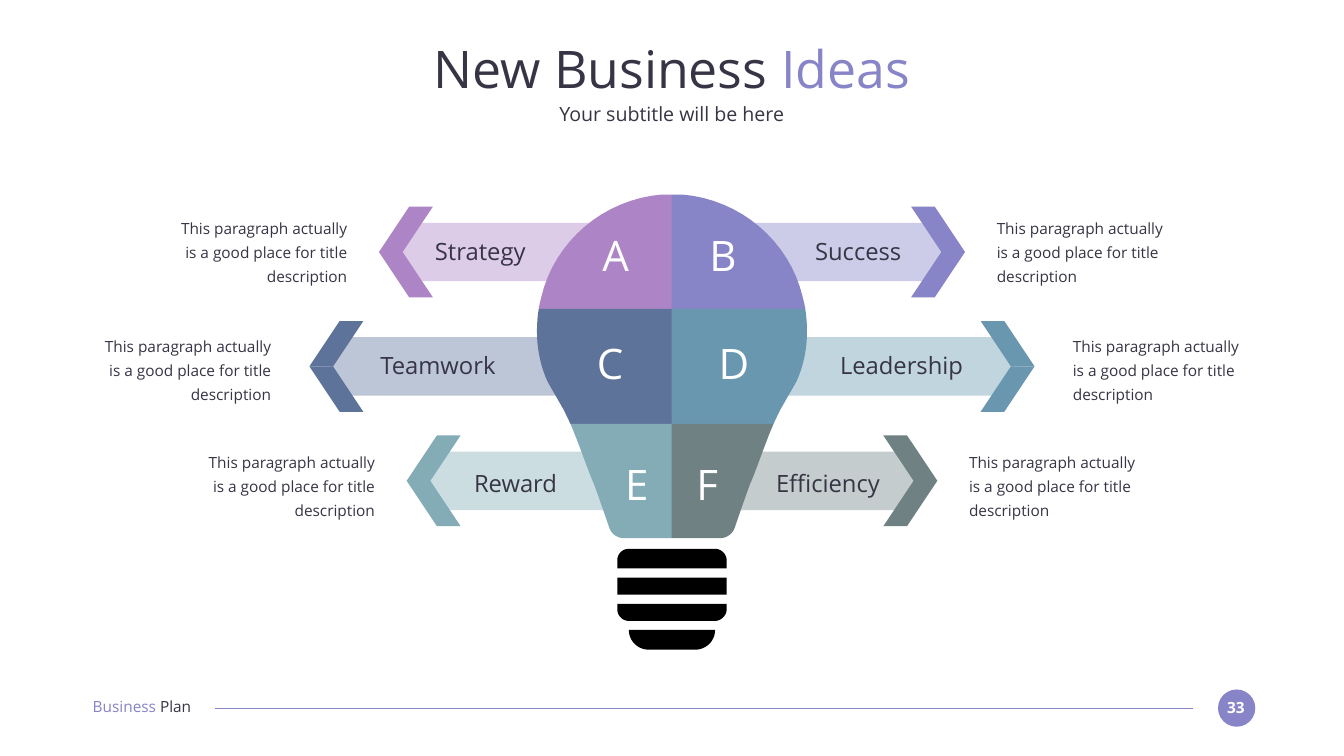
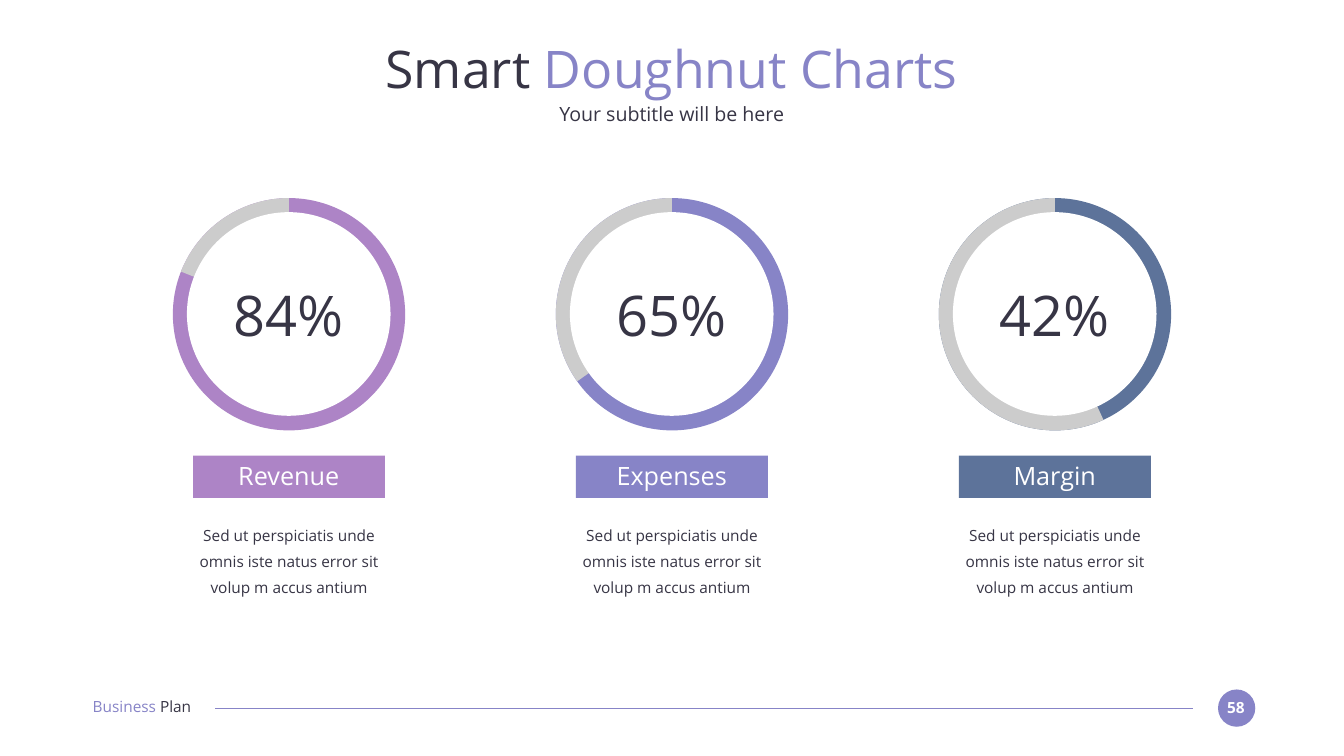
"""Build two business plan slides: a light bulb of ideas and three doughnut rings."""
from lxml.etree import SubElement
from pptx import Presentation
from pptx.dml.color import RGBColor
from pptx.enum.shapes import MSO_CONNECTOR, MSO_SHAPE
from pptx.enum.text import PP_ALIGN
from pptx.oxml.ns import qn
from pptx.util import Emu, Pt

PX = 9144
WIDTH, HEIGHT = 2667, 1500
AXIS = 1333
FONT = "Open Sans"
COLORS = {
    "ink": "373545", "white": "FFFFFF", "black": "000000", "grey": "CCCCCC",
    "purple": "AD84C6", "violet": "8784C7", "navy": "5D739A",
    "blue": "6997AF", "teal": "84ACB6", "slate": "6F8183",
    "pale purple": "DDCCE8", "pale violet": "CDCCE8", "pale navy": "BDC6D6",
    "pale blue": "C1D5DF", "pale teal": "CCDDE1", "pale slate": "C4CCCD",
}
SUBTITLE = "Your subtitle will be here"
FOOTER = [("Business ", "violet"), ("Plan", "ink")]

IDEAS_TITLE = [("New Business ", "ink"), ("Ideas", "violet")]
IDEA_NOTE = "This paragraph actually is a good place for title description"
IDEA_ROWS = [
    {"middle": 500, "tip": 1915, "inner": 1397, "note": (1978, 423),
     "letter_top": 455, "label_top": 470, "label_width": 268,
     "left": ("A", 1168, "Strategy", 819, "purple"),
     "right": ("B", 1381, "Success", 1569, "violet")},
    {"middle": 727, "tip": 2053, "inner": 1397, "note": (2129, 658),
     "letter_top": 669, "label_top": 695, "label_width": 370,
     "left": ("C", 1157, "Teamwork", 684, "navy"),
     "right": ("D", 1403, "Leadership", 1604, "blue")},
    {"middle": 954, "tip": 1860, "inner": 1342, "note": (1923, 888),
     "letter_top": 909, "label_top": 930, "label_width": 268,
     "left": ("E", 1210, "Reward", 889, "teal"),
     "right": ("F", 1350, "Efficiency", 1509, "slate")},
]
BULB_RIGHT_PARTS = [
    [(AXIS, 386), (1353, 386), (1468, 395, 1567, 478, 1593, 590),
     (1595, 598, 1597, 606, 1598, 613), (AXIS, 613)],
    [(AXIS, 613), (1598, 613), (1606, 665, 1600, 715, 1580, 758), (1549, 812),
     (1545, 820, 1540, 830, 1535, 841), (AXIS, 841)],
    [(AXIS, 841), (1535, 841), (1517, 883, 1498, 940, 1489, 959),
     (1482, 977, 1468, 1018, 1458, 1047), (1454, 1059, 1442, 1068, 1428, 1068),
     (AXIS, 1068)],
]
BULB_SOCKET = [
    [(1248, 1089), (1419, 1089), (1431, 1089, 1442, 1099, 1442, 1112), (1442, 1128),
     (1225, 1128), (1225, 1112), (1225, 1099, 1235, 1089, 1248, 1089)],
    [(1225, 1146), (1442, 1146), (1442, 1180), (1225, 1180)],
    [(1225, 1198), (1442, 1198), (1442, 1209), (1442, 1221, 1431, 1232, 1419, 1232),
     (1248, 1232), (1235, 1232, 1225, 1221, 1225, 1209)],
    [(1248, 1250), (1419, 1250), (1419, 1272, 1401, 1289, 1380, 1289),
     (1287, 1289), (1266, 1289, 1248, 1272, 1248, 1250)],
]

RINGS_TITLE = [("Smart ", "ink"), ("Doughnut Charts", "violet")]
RING_NOTE = "Sed ut perspiciatis unde omnis iste natus error sit volup m accus antium"
RINGS = [
    ("84%", "Revenue", "purple", 201.53),
    ("65%", "Expenses", "violet", 144.71),
    ("42%", "Margin", "navy", 65.34),
]
RING_STEP = 760
RING_TOP, RING_SIZE, HOLE_SIZE = 393, 461, 404


def rgb(name):
    return RGBColor.from_string(COLORS[name])


def emu(*lengths):
    return [Emu(round(length * PX)) for length in lengths]


def paint(shape, color):
    shape.shadow.inherit = False
    shape.fill.solid()
    shape.fill.fore_color.rgb = rgb(color)
    shape.line.fill.background()


def add_preset(shapes, kind, area, color):
    shape = shapes.add_shape(kind, *emu(*area))
    paint(shape, color)
    return shape


def add_text(page, area, spans, size, align=PP_ALIGN.CENTER, spacing=None, bold=False):
    frame = page.shapes.add_textbox(*emu(*area)).text_frame
    frame.word_wrap = True
    frame.margin_left = frame.margin_top = frame.margin_right = frame.margin_bottom = 0
    para = frame.paragraphs[0]
    para.alignment = align
    if spacing:
        para.line_spacing = spacing
    for words, color in spans:
        span = para.add_run()
        span.text = words
        span.font.name = FONT
        span.font.size = Pt(size)
        span.font.bold = bold
        span.font.color.rgb = rgb(color)


def flatten(outline, steps=16):
    points = [outline[0]]
    for segment in outline[1:]:
        if len(segment) == 2:
            points.append(segment)
            continue
        controls = [points[-1], segment[:2], segment[2:4], segment[4:]]
        for step in range(1, steps + 1):
            t = step / steps
            weights = ((1 - t) ** 3, 3 * t * (1 - t) ** 2, 3 * t * t * (1 - t), t ** 3)
            points.append(tuple(sum(weight * control[axis] for weight, control
                                    in zip(weights, controls)) for axis in (0, 1)))
    return points


def add_outline(page, outlines, color, mirrored=False):
    builder = None
    for outline in outlines:
        points = [emu(WIDTH - x if mirrored else x, y) for x, y in flatten(outline)]
        if builder is None:
            builder = page.shapes.build_freeform(*points[0])
        else:
            builder.move_to(*points[0])
        builder.add_line_segments(points[1:], close=True)
    paint(builder.convert_to_shape(), color)


def add_page(deck, title, number):
    page = deck.slides.add_slide(deck.slide_layouts[6])
    add_preset(page.shapes, MSO_SHAPE.OVAL, (2417, 1368, 74, 74), "violet")
    add_text(page, (2423, 1385, 59, 37), [(str(number), "white")], 22, bold=True)
    rule = page.shapes.add_connector(MSO_CONNECTOR.STRAIGHT, *emu(2367, 1405, 427, 1405))
    rule.line.color.rgb = rgb("violet")
    rule.line.width = Pt(1.5)
    SubElement(rule._element.spPr, qn("a:effectLst"))
    add_text(page, (184, 1384, 259, 37), FOOTER, 22, PP_ALIGN.LEFT)
    add_text(page, (183, 73, 2300, 127), title, 74)
    add_text(page, (183, 203, 2300, 49), [(SUBTITLE, "ink")], 28)
    return page


def add_band(page, row, color, mirrored):
    middle, tip, inner = row["middle"], row["tip"] - 40, row["inner"]
    band = [(inner, middle - 58), (tip - 35, middle - 58), (tip, middle),
            (tip - 35, middle + 58), (inner, middle + 58)]
    add_outline(page, [band], "pale " + color, mirrored)


def add_chevron(page, row, color, mirrored):
    middle, tip = row["middle"], row["tip"]
    for edge in (middle - 90, middle + 90):
        half = [(tip, middle), (tip - 47, middle), (tip - 107, edge), (tip - 60, edge)]
        add_outline(page, [half], color, mirrored)


def add_idea_text(page, row, idea, mirrored):
    letter, letter_left, label, label_left, _ = idea
    note_left, note_top = row["note"]
    note_width = 354
    if mirrored:
        note_left = WIDTH - note_left - note_width
    add_text(page, (note_left, note_top, note_width, 144), [(IDEA_NOTE, "ink")], 22,
             PP_ALIGN.RIGHT if mirrored else PP_ALIGN.LEFT, 1.3)
    add_text(page, (letter_left, row["letter_top"], 107, 101), [(letter, "white")], 60)
    add_text(page, (label_left, row["label_top"], row["label_width"], 57),
             [(label, "ink")], 34)


def build_ideas(deck):
    page = add_page(deck, IDEAS_TITLE, 33)
    placed = [(row, part, row[side], side == "left")
              for row, part in zip(IDEA_ROWS, BULB_RIGHT_PARTS)
              for side in ("left", "right")]
    for row, _, idea, mirrored in placed:
        add_band(page, row, idea[-1], mirrored)
    for _, part, idea, mirrored in placed:
        add_outline(page, [part], idea[-1], mirrored)
    add_outline(page, BULB_SOCKET, "black")
    for row, _, idea, mirrored in placed:
        add_chevron(page, row, idea[-1], mirrored)
        add_idea_text(page, row, idea, mirrored)


def add_ring(page, centre, color, end_angle):
    shapes = page.shapes.add_group_shape().shapes
    area = (centre - RING_SIZE // 2, RING_TOP, RING_SIZE, RING_SIZE)
    add_preset(shapes, MSO_SHAPE.OVAL, area, color)
    rest = add_preset(shapes, MSO_SHAPE.PIE, area, "grey")
    for index, angle in enumerate((end_angle, 270)):
        rest.adjustments[index] = angle * 0.6
    hole_top = RING_TOP + (RING_SIZE - HOLE_SIZE) // 2
    hole = (centre - HOLE_SIZE // 2, hole_top, HOLE_SIZE, HOLE_SIZE)
    add_preset(shapes, MSO_SHAPE.OVAL, hole, "white")


def build_rings(deck):
    page = add_page(deck, RINGS_TITLE, 58)
    for index, (share, label, color, end_angle) in enumerate(RINGS):
        centre = AXIS + (index - 1) * RING_STEP
        add_ring(page, centre, color, end_angle)
        add_preset(page.shapes, MSO_SHAPE.RECTANGLE, (centre - 190, 904, 381, 84), color)
        add_text(page, (centre - 155, 913, 310, 61), [(label, "white")], 36)
        add_text(page, (centre - 215, 1029, 431, 156), [(RING_NOTE, "ink")], 22, spacing=1.4)
        add_text(page, (centre - 119, 556, 238, 135), [(share, "ink")], 80)


def main():
    deck = Presentation()
    deck.slide_width, deck.slide_height = emu(WIDTH, HEIGHT)
    build_ideas(deck)
    build_rings(deck)
    deck.save("out.pptx")


if __name__ == "__main__":
    main()
